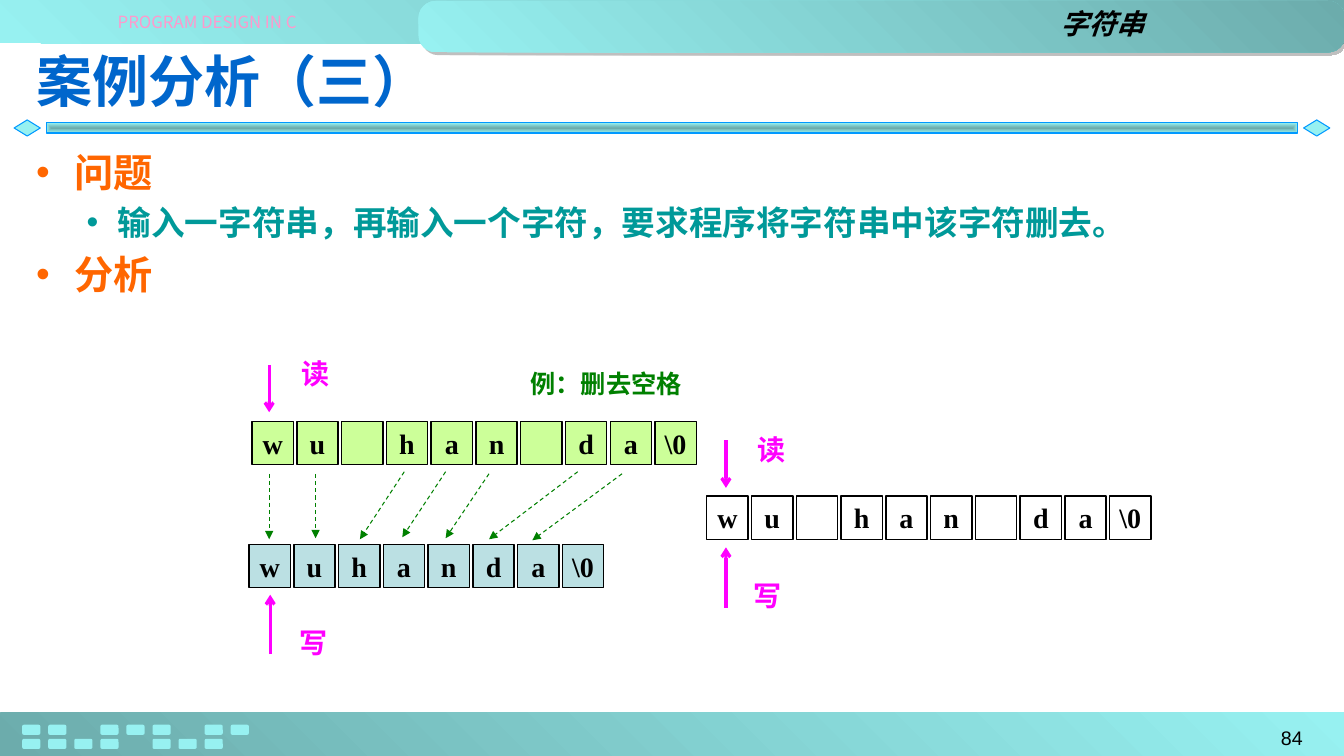
from lxml.etree import SubElement
from pptx import Presentation
from pptx.dml.color import RGBColor
from pptx.enum.dml import MSO_LINE
from pptx.enum.shapes import MSO_CONNECTOR, MSO_SHAPE
from pptx.enum.text import MSO_ANCHOR, PP_ALIGN
from pptx.oxml import parse_xml
from pptx.oxml.ns import nsdecls, qn
from pptx.util import Inches, Pt

DARK, LIGHT, BORDER = "6CACAC", "97F1F1", "0099FF"
MAGENTA, GREEN = "FF00FF", "008000"


def paint(shape, fill, line=None, width=0.75):
    """Fill with one colour, or with a gradient when given a pair of colours."""
    shape.shadow.inherit = False
    if isinstance(fill, str):
        shape.fill.solid()
        shape.fill.fore_color.rgb = RGBColor.from_string(fill)
    else:
        shape.fill.gradient()
        shape.fill.gradient_angle = 45
        for stop, color, position in zip(shape.fill.gradient_stops, fill, (0, 1)):
            stop.color.rgb = RGBColor.from_string(color)
            stop.position = position
    if line:
        shape.line.color.rgb = RGBColor.from_string(line)
        shape.line.width = Pt(width)
    else:
        shape.line.fill.background()


def write(para, text, size, color, font, align=PP_ALIGN.LEFT, bold=True, italic=False, asian="Noto Sans CJK SC"):
    para.alignment = align
    span = para.add_run()
    span.text = text
    span.font.color.rgb = RGBColor.from_string(color)
    for name, value in dict(size=Pt(size), name=font, bold=bold, italic=italic).items():
        setattr(span.font, name, value)
    SubElement(span.font._element, qn("a:ea"), typeface=asian)


deck = Presentation()
deck.slide_width, deck.slide_height = Inches(13.33), Inches(7.5)
page = deck.slides.add_slide(deck.slide_layouts[5])

# Header, footer and rule
decorations = [
    (MSO_SHAPE.RECTANGLE, 0, 7.07, 13.33, 0.43, (DARK, LIGHT), None),
    (MSO_SHAPE.RECTANGLE, 0, 0, 13.33, 0.43, (LIGHT, DARK), None),
    (MSO_SHAPE.ROUNDED_RECTANGLE, 4.15, 0.01, 9.19, 0.51, (LIGHT, DARK), None),
    (MSO_SHAPE.DIAMOND, 0.14, 1.19, 0.26, 0.16, LIGHT, BORDER),
    (MSO_SHAPE.DIAMOND, 12.93, 1.19, 0.26, 0.16, LIGHT, BORDER),
    (MSO_SHAPE.RECTANGLE, 0.46, 1.22, 12.41, 0.1, (DARK, LIGHT), BORDER),
]
for kind, left, top, width, height, fill, line in decorations:
    shape = page.shapes.add_shape(kind, Inches(left), Inches(top), Inches(width), Inches(height))
    paint(shape, fill, line)
    if kind == MSO_SHAPE.ROUNDED_RECTANGLE:
        shape.adjustments[0] = 0.333
        effects = shape._element.spPr.find(qn("a:effectLst"))
        effects.append(parse_xml(
            f'<a:outerShdw {nsdecls("a")} dist="35560" dir="2700000">'
            '<a:srgbClr val="808080"><a:alpha val="50000"/></a:srgbClr></a:outerShdw>'))

rule_gradient = shape._element.spPr.find(qn("a:gradFill"))
rule_gradient.replace(rule_gradient.find(qn("a:lin")), parse_xml(
    f'<a:path {nsdecls("a")} path="shape">'
    '<a:fillToRect l="50000" t="50000" r="50000" b="50000"/></a:path>'))

for top, columns in ((7.19, (0, 1, 3, 4, 5, 7, 8)), (7.33, (0, 1, 2, 3, 5, 6, 7))):
    for column in columns:
        tile = page.shapes.add_shape(MSO_SHAPE.ROUNDED_RECTANGLE, Inches(0.22 + column * 0.2585),
                                     Inches(top), Inches(0.18), Inches(0.1))
        paint(tile, LIGHT)

# Title and body
title = page.shapes.title
title.left, title.top, title.width, title.height = Inches(0.26), Inches(0.36), Inches(12.81), Inches(0.87)
title.text_frame.vertical_anchor = MSO_ANCHOR.MIDDLE
write(title.text_frame.paragraphs[0], "案例分析（三）", 40, "0066CC", "Noto Sans CJK JP",
      asian="Noto Sans CJK JP")

body = page.shapes.add_textbox(Inches(0.26), Inches(1.42), Inches(12.81), Inches(5.52)).text_frame
body.word_wrap = True
outline = [
    ("问题", 28, "FF6600", 0.38, 0.38, 0),
    ("输入一字符串，再输入一个字符，要求程序将字符串中该字符删去。", 24, "009999", 0.81, 0.31, 4.8),
    ("分析", 28, "FF6600", 0.38, 0.38, 5.6),
]
for index, (text, size, color, margin, hanging, space) in enumerate(outline):
    para = body.add_paragraph() if index else body.paragraphs[0]
    para.space_before = Pt(space)
    properties = para._p.get_or_add_pPr()
    properties.set("marL", str(Inches(margin)))
    properties.set("indent", str(-Inches(hanging)))
    SubElement(properties, qn("a:buFont"), typeface="Arial")
    SubElement(properties, qn("a:buChar"), char="•")
    write(para, text, size, color, "Arial")

# Character arrays
arrays = [
    (2.5, 4.18, "CCFF99", ["w", "u", "", "h", "a", "n", "", "d", "a", r"\0"]),
    (2.47, 5.4, "BBE0E3", ["w", "u", "h", "a", "n", "d", "a", r"\0"]),
    (7.01, 4.92, "FFFFFF", ["w", "u", "", "h", "a", "n", "", "d", "a", r"\0"]),
]
for left, top, fill, letters in arrays:
    array = page.shapes.add_group_shape()
    for index, letter in enumerate(letters):
        cell = array.shapes.add_shape(MSO_SHAPE.RECTANGLE, Inches(left + index * 0.444), Inches(top),
                                      Inches(0.41), Inches(0.43))
        paint(cell, fill, "000000", 1)
        cell.text_frame.word_wrap = False
        cell.text_frame.vertical_anchor = MSO_ANCHOR.MIDDLE
        if letter:
            write(cell.text_frame.paragraphs[0], letter, 20, "000000", "Times New Roman", PP_ALIGN.CENTER)

# Copy arrows, then read and write pointers
copies = [
    (2.67, 4.7, 2.67, 5.35), (3.13, 4.7, 3.13, 5.34), (4.01, 4.68, 3.57, 5.35), (4.42, 4.68, 3.99, 5.33),
    (4.85, 4.7, 4.42, 5.34), (5.73, 4.68, 4.85, 5.35), (6.17, 4.7, 5.28, 5.36),
]
pointers = [(2.67, 3.62, 2.67, 4.09), (2.68, 6.49, 2.68, 5.9), (7.2, 4.37, 7.2, 4.84), (7.2, 6.03, 7.2, 5.43)]
for lines, color, width, dash, head in (
    (copies, GREEN, 0.75, MSO_LINE.DASH, "triangle"),
    (pointers, MAGENTA, 2.25, MSO_LINE.SOLID, "arrow"),
):
    for ends in lines:
        arrow = page.shapes.add_connector(MSO_CONNECTOR.STRAIGHT, *map(Inches, ends))
        arrow.line.color.rgb = RGBColor.from_string(color)
        arrow.line.width = Pt(width)
        arrow.line.dash_style = dash
        SubElement(arrow.line._get_or_add_ln(), qn("a:tailEnd"), type=head)
        SubElement(arrow._element.spPr, qn("a:effectLst"))

# Labels
pointer_format = dict(size=20, color=MAGENTA, font="Times New Roman", align=PP_ALIGN.CENTER)
labels = [
    ("PROGRAM DESIGN IN C", 0.3, 0.07, 3.51, 0.22,
     dict(size=12, color="FF99CC", font="Noto Sans CJK SC", align=PP_ALIGN.CENTER, bold=False)),
    ("84", 11.18, 7.15, 1.84, 0.28,
     dict(size=14, color="000000", font="Arial", align=PP_ALIGN.RIGHT, bold=False)),
    ("字符串", 5.04, 0.02, 6.41, 0.43,
     dict(size=20, color="000000", font="Arial", align=PP_ALIGN.RIGHT, italic=True)),
    ("例：删去空格", 4.24, 3.61, 2.62, 0.4,
     dict(size=18, color=GREEN, font="Courier New", align=PP_ALIGN.RIGHT)),
    ("读", 2.85, 3.49, 0.55, 0.43, pointer_format),
    ("写", 2.83, 6.16, 0.55, 0.43, pointer_format),
    ("读", 7.38, 4.24, 0.55, 0.43, pointer_format),
    ("写", 7.34, 5.69, 0.55, 0.43, pointer_format),
]
for text, left, top, width, height, look in labels:
    box = page.shapes.add_textbox(Inches(left), Inches(top), Inches(width), Inches(height))
    box.text_frame.word_wrap = True
    write(box.text_frame.paragraphs[0], text, **look)

deck.save("out.pptx")
